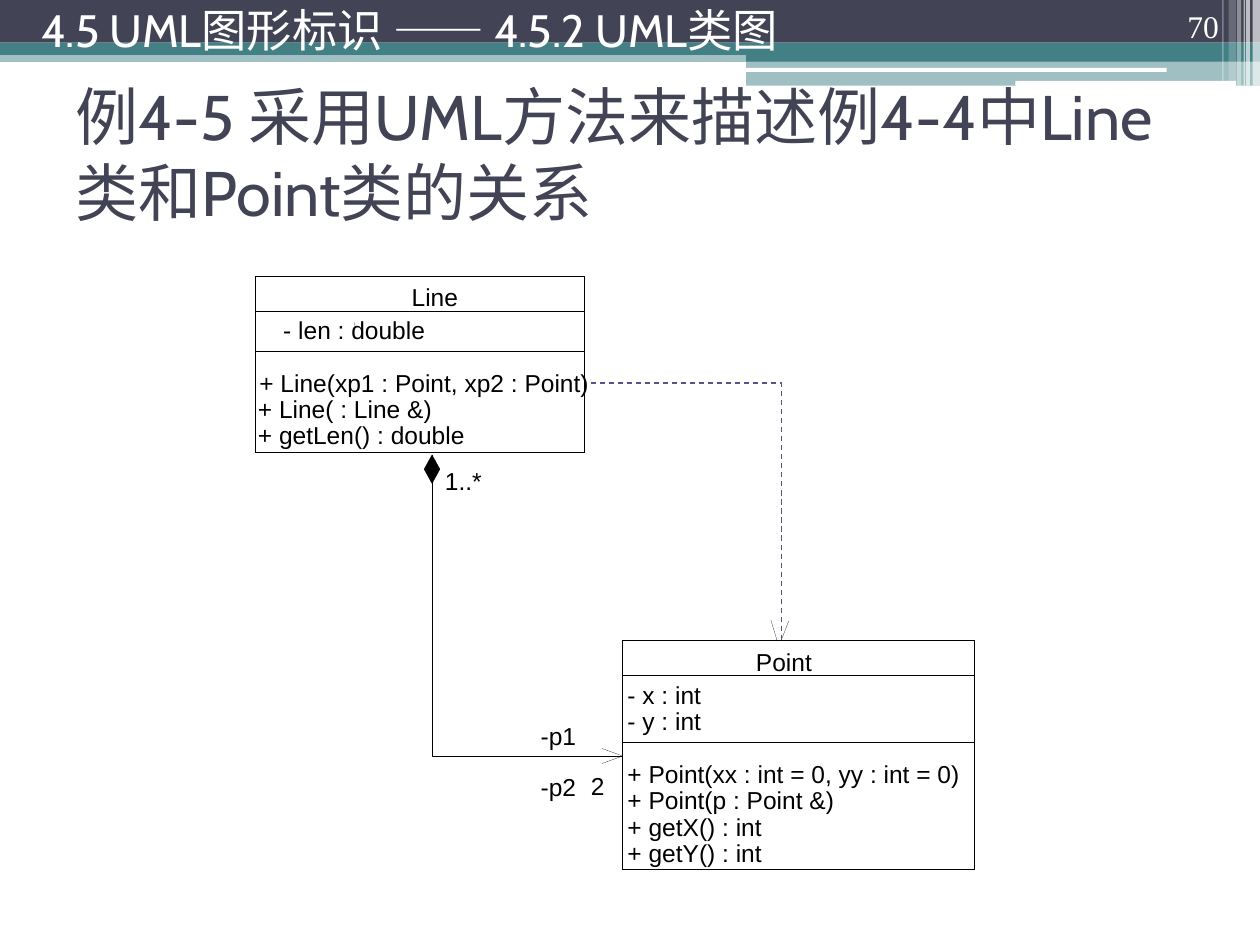
from pptx import Presentation
from pptx.dml.color import RGBColor
from pptx.enum import dml, shapes as kinds, text
from pptx.oxml.ns import qn
from pptx.oxml.xmlchemy import OxmlElement
from pptx.util import Cm, Pt

NAVY = RGBColor(0x42, 0x44, 0x56)
TEAL = RGBColor(0x43, 0x80, 0x86)
VIOLET = RGBColor(0x53, 0x54, 0x8A)
WHITE = RGBColor(0xFF, 0xFF, 0xFF)
BLACK = RGBColor(0, 0, 0)
RECT = kinds.MSO_SHAPE.RECTANGLE
ROUND = kinds.MSO_SHAPE.ROUNDED_RECTANGLE
LEFT, RIGHT = text.PP_ALIGN.LEFT, text.PP_ALIGN.RIGHT
MIDDLE, BOTTOM = text.MSO_ANCHOR.MIDDLE, text.MSO_ANCHOR.BOTTOM
ROW = 0.53
HAIR = 0.1


def write(frame, words, size, font, color, align=LEFT, **attrs):
    """Fill a text frame with one run; attrs are set on the frame."""
    for key, value in attrs.items():
        setattr(frame, key, value)
    para = frame.paragraphs[0]
    para.alignment = align
    run = para.add_run()
    run.text = words
    run.font.size = Pt(size)
    run.font.name = font
    run.font.color.rgb = color


def label(tree, x, y, width, words):
    box = tree.add_textbox(Cm(x), Cm(y), Cm(width), Cm(0.61))
    sides = ("left", "top", "right", "bottom")
    write(box.text_frame, words, 14, "Arial", BLACK, word_wrap=False,
          auto_size=text.MSO_AUTO_SIZE.SHAPE_TO_FIT_TEXT,
          **{f"margin_{side}": 0 for side in sides})


def block(tree, kind, x, y, width, height, color, alpha=100):
    """Add a borderless filled shape."""
    shape = tree.add_shape(kind, Cm(x), Cm(y), Cm(width), Cm(height))
    shape.shadow.inherit = False
    shape.fill.solid()
    shape.fill.fore_color.rgb = color
    shape.line.fill.background()
    if alpha < 100:
        node = OxmlElement("a:alpha")
        node.set("val", str(alpha * 1000))
        shape.element.spPr.find(".//" + qn("a:srgbClr")).append(node)


def ink(line, color=BLACK, width=HAIR):
    line.color.rgb = color
    line.width = Pt(width)


def link(tree, x1, y1, x2, y2, kind=kinds.MSO_CONNECTOR.STRAIGHT):
    wire = tree.add_connector(kind, Cm(x1), Cm(y1), Cm(x2), Cm(y2))
    ink(wire.line)
    wire.element.spPr.append(OxmlElement("a:effectLst"))
    return wire


def trace(tree, points, closed):
    """Draw a black path, filled when it is closed."""
    first, *rest = [(Cm(x), Cm(y)) for x, y in points]
    pen = tree.build_freeform(*first)
    pen.add_line_segments(rest, close=closed)
    shape = pen.convert_to_shape()
    shape.shadow.inherit = False
    if closed:
        shape.fill.solid()
        shape.fill.fore_color.rgb = BLACK
    else:
        shape.fill.background()
    ink(shape.line)


def header(tree, width):
    """Draw the banner across the top, with its heading and page number."""
    half, edge = 15.04, width - 15.04
    for band in (
        (RECT, 0, 1.02, width, 0.23, TEAL, 50),
        (RECT, 0, 0, width, 0.86, NAVY),
        (RECT, 0, 0.86, width, 0.25, TEAL),
        (RECT, half, 0.99, edge, 0.25, TEAL),
        (RECT, half, 1.22, edge, 0.51, TEAL, 50),
        (ROUND, half - 0.03, 1.37, 8.51, 0.08, WHITE),
        (ROUND, 20.47, 1.63, 4.45, 0.1, WHITE),
    ):
        block(tree, *band)
    for inset, wide, tall, alpha in (
        (0.15, 0.15, 1.73, 65), (0.28, 0.08, 1.73, 65), (0.33, 0.03, 1.73, 60),
        (0.46, 0.08, 1.73, 40), (0.63, 0.15, 1.63, 20), (0.76, 0.03, 1.63, 30),
    ):
        block(tree, RECT, width - inset, 0, wide, tall, WHITE, alpha)
    page = tree.add_textbox(Cm(22.71), 0, Cm(2.11), Cm(1.02))
    write(page.text_frame, "70", 18, "Times New Roman", WHITE, RIGHT,
          word_wrap=True, vertical_anchor=BOTTOM)
    topic = tree.add_textbox(Cm(0.58), 0, Cm(18.06), Cm(1.19))
    write(topic.text_frame, "4.5 UML图形标识 —— 4.5.2 UML类图", 25.9,
          "Cabin", WHITE, word_wrap=True, vertical_anchor=MIDDLE)


def heading(title, x, y, width, height):
    title.left, title.top = Cm(x), Cm(y)
    title.width, title.height = Cm(width), Cm(height)
    write(title.text_frame, "例4-5 采用UML方法来描述例4-4中Line类和Point类的关系",
          36, "Cabin", NAVY, word_wrap=True, vertical_anchor=MIDDLE,
          auto_size=text.MSO_AUTO_SIZE.NONE)


def uml(tree, x, y, width, height, split, name, fields, methods):
    """Draw a class box; each text is (indent, width, words)."""
    head = 0.71
    for drop in (0, head, split):
        frame = tree.add_shape(RECT, Cm(x), Cm(y + drop),
                               Cm(width), Cm(height - drop))
        frame.shadow.inherit = False
        frame.fill.background()
        ink(frame.line)
    for start, rows in ((0.13, [name]), (head + 0.08, fields),
                        (split + 0.33, methods)):
        for i, (indent, wide, words) in enumerate(rows):
            label(tree, x + indent, y + start + i * ROW, wide, words)


def compose(tree, x, y, width, height):
    """Draw a composition from the diamond at top left to bottom right."""
    end, base, knee = x + width, y + height, y + 4.95
    link(tree, x, knee, x, y)
    trace(tree, [(x, y), (x + 0.16, y + 0.29), (x, y + 0.58),
                 (x - 0.16, y + 0.29)], True)
    trace(tree, [(x, knee), (x, base), (end, base)], False)
    for rise in (0.15, -0.15):
        link(tree, end, base, end - 0.41, base + rise)
    label(tree, x + 0.26, y + 0.23, 0.85, "1..*")
    label(tree, end - 1.65, base - 0.71, 0.8, "-p1")
    label(tree, end - 1.65, base + 0.33, 0.8, "-p2")
    label(tree, end - 0.64, base + 0.3, 0.28, "2")


def depend(tree, x, y, width, height):
    """Draw a dashed dependency going right, then down to an arrowhead."""
    end, base = x + width, y + height
    link(tree, end, base - 0.03, end + 0.15, base - 0.41)
    link(tree, end - 0.08, base, end - 0.21, base - 0.43)
    wire = link(tree, x, y, end, base, kinds.MSO_CONNECTOR.ELBOW)
    wire.element.spPr.find(qn("a:prstGeom")).set("prst", "bentConnector2")
    ink(wire.line, VIOLET, 0.75)
    wire.line.dash_style = dml.MSO_LINE.DASH


def main():
    deck = Presentation()
    deck.slide_width, deck.slide_height = Cm(25.4), Cm(19.05)
    slide = deck.slides.add_slide(deck.slide_layouts[5])
    tree = slide.shapes
    header(tree, 25.4)
    heading(tree.title, 1.27, 1.6, 22.86, 2.97)
    uml(tree, 12.55, 12.91, 7.09, 4.62, 2.06, (2.69, 1.14, "Point"),
        [(0.1, 1.5, "- x : int"), (0.1, 1.5, "- y : int")],
        [(0.1, 6.73, "+ Point(xx : int = 0, yy : int = 0)"),
         (0.1, 4.19, "+ Point(p : Point &)"),
         (0.1, 2.72, "+ getX() : int"),
         (0.1, 2.72, "+ getY() : int")])
    uml(tree, 5.15, 5.56, 6.63, 3.56, 1.52, (3.15, 0.94, "Line"),
        [(0.56, 2.87, "- len : double")],
        [(0.08, 6.68, "+ Line(xp1 : Point, xp2 : Point)"),
         (0.05, 3.53, "+ Line( : Line &)"),
         (0.05, 4.32, "+ getLen() : double")])
    link(tree, 7.16, 6.58, 7.14, 6.5)
    compose(tree, 8.71, 9.17, 3.84, 6.07)
    depend(tree, 11.91, 7.72, 3.84, 5.21)
    deck.save("out.pptx")


if __name__ == "__main__":
    main()
